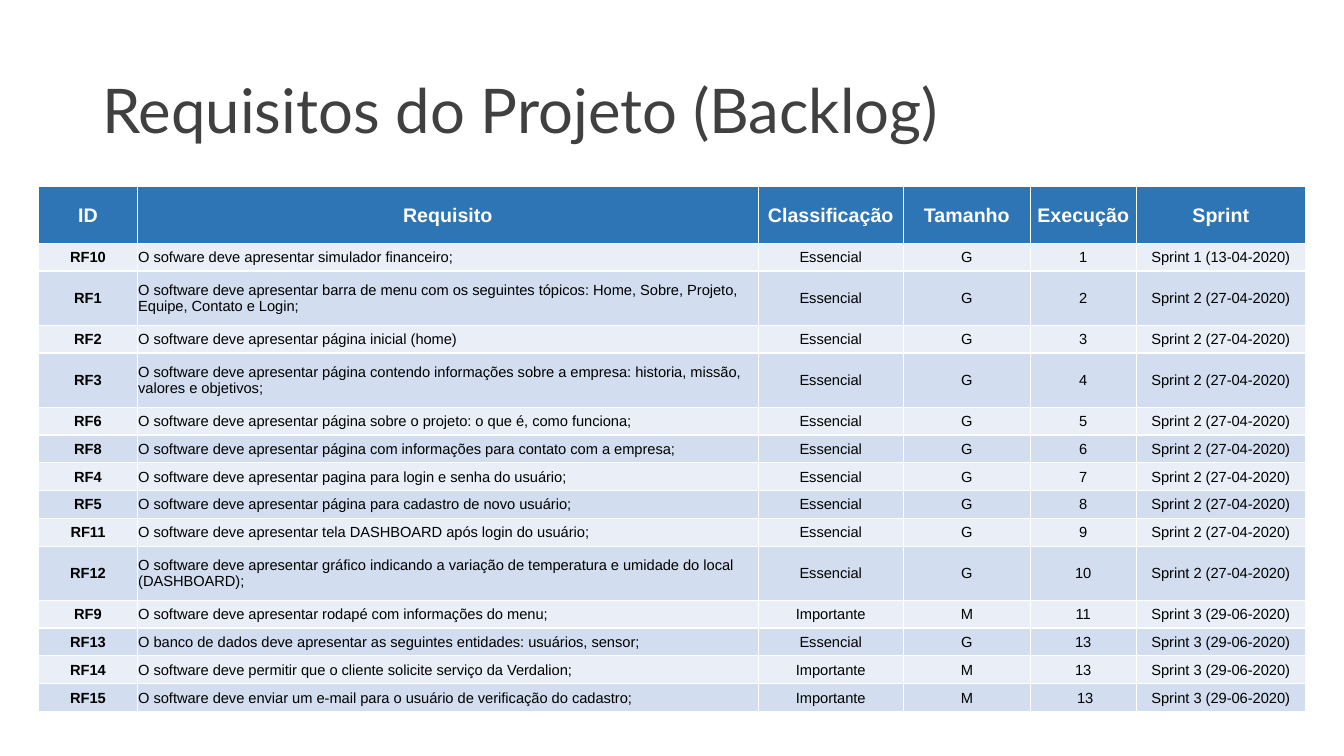
"""Build the project requirements (backlog) slide."""
from lxml import etree
from pptx import Presentation
from pptx.dml.color import RGBColor
from pptx.enum.text import MSO_ANCHOR, PP_ALIGN
from pptx.oxml.ns import qn
from pptx.util import Pt

LEFT, CENTER = PP_ALIGN.LEFT, PP_ALIGN.CENTER
MIDDLE = MSO_ANCHOR.MIDDLE

TITLE = "Requisitos do Projeto (Backlog)"
HEADERS = ("ID", "Requisito", "Classificação", "Tamanho", "Execução", "Sprint")
S1, S2, S3 = "Sprint 1 (13-04-2020)", "Sprint 2 (27-04-2020)", "Sprint 3 (29-06-2020)"
ESSENTIAL, IMPORTANT = ("Essencial", "G"), ("Importante", "M")
REQUIREMENTS = [
    ("RF10", "O sofware deve apresentar simulador financeiro;", *ESSENTIAL, "1", S1),
    ("RF1", "O software deve apresentar barra de menu com os seguintes tópicos: "
            "Home, Sobre, Projeto, Equipe, Contato e Login;", *ESSENTIAL, "2", S2),
    ("RF2", "O software deve apresentar página inicial (home)", *ESSENTIAL, "3", S2),
    ("RF3", "O software deve apresentar página contendo informações sobre a empresa: "
            "historia, missão, valores e objetivos;", *ESSENTIAL, "4", S2),
    ("RF6", "O software deve apresentar página sobre o projeto: o que é, como funciona;",
     *ESSENTIAL, "5", S2),
    ("RF8", "O software deve apresentar página com informações para contato com a empresa;",
     *ESSENTIAL, "6", S2),
    ("RF4", "O software deve apresentar pagina para login e senha do usuário;",
     *ESSENTIAL, "7", S2),
    ("RF5", "O software deve apresentar página para cadastro de novo usuário;",
     *ESSENTIAL, "8", S2),
    ("RF11", "O software deve apresentar tela DASHBOARD após login do usuário;",
     *ESSENTIAL, "9", S2),
    ("RF12", "O software deve apresentar gráfico indicando a variação de temperatura e "
             "umidade do local (DASHBOARD);", *ESSENTIAL, "10", S2),
    ("RF9", "O software deve apresentar rodapé com informações do menu;",
     *IMPORTANT, "11", S3),
    ("RF13", "O banco de dados deve apresentar as seguintes entidades: usuários, sensor;",
     *ESSENTIAL, "13", S3),
    ("RF14", "O software deve permitir que o cliente solicite serviço da Verdalion;",
     *IMPORTANT, "13", S3),
    ("RF15", "O software deve enviar um e-mail para o usuário de verificação do cadastro;",
     *IMPORTANT, " 13", S3),
]
THEME = {
    "title_font": "Lato", "font": "Arial",
    "title_size": 44, "header_size": 14, "body_size": 10.5,
    "title": "404040", "header": "FFFFFF", "body": "000000",
    "header_fill": "2E75B6", "bands": ("EAEFF7", "D2DEEF"),
    "border": "FFFFFF", "border_width": 1,
}
COL_WIDTHS = (70.5, 443.5, 103.7, 90.7, 75.6, 121)
HEADER_H, SINGLE_H, DOUBLE_H = 40.6, 19.85, 38.7
LINE_CHARS = 90


def write(tf, text, *, font, size, color, bold=False, align=LEFT, spacing=1):
    p = tf.paragraphs[0]
    p.alignment, p.line_spacing = align, spacing
    r = p.add_run()
    r.text = text
    r.font.name, r.font.size, r.font.bold = font, Pt(size), bold
    r.font.color.rgb = RGBColor.from_string(color)


def paint(cell, fill):
    cell.fill.solid()
    cell.fill.fore_color.rgb = RGBColor.from_string(fill)
    tc_pr = cell._tc.get_or_add_tcPr()
    for i, side in enumerate(("lnL", "lnR", "lnT", "lnB")):
        ln = etree.Element(qn(f"a:{side}"), w=str(Pt(THEME["border_width"])))
        solid = etree.SubElement(ln, qn("a:solidFill"))
        etree.SubElement(solid, qn("a:srgbClr"), val=THEME["border"])
        tc_pr.insert(i, ln)


def add_title(s):
    tf = s.shapes.add_textbox(Pt(66), Pt(28.8), Pt(828), Pt(104.4)).text_frame
    tf.word_wrap, tf.vertical_anchor = True, MIDDLE
    write(tf, TITLE, font=THEME["title_font"], size=THEME["title_size"],
          color=THEME["title"], spacing=0.9)


def add_backlog(s):
    rows = [HEADERS, *REQUIREMENTS]
    heights = [HEADER_H] + [DOUBLE_H if len(row[1]) > LINE_CHARS else SINGLE_H
                            for row in REQUIREMENTS]
    table = s.shapes.add_table(len(rows), len(HEADERS), Pt(27.6), Pt(133.2),
                               Pt(sum(COL_WIDTHS)), Pt(sum(heights))).table
    for column, width in zip(table.columns, COL_WIDTHS):
        column.width = Pt(width)
    for i, (row, height) in enumerate(zip(rows, heights)):
        table.rows[i].height = Pt(height)
        kind = "body" if i else "header"
        fill = THEME["bands"][(i - 1) % 2] if i else THEME["header_fill"]
        for j, text in enumerate(row):
            cell = table.cell(i, j)
            cell.vertical_anchor = MIDDLE
            cell.margin_left = cell.margin_right = cell.margin_top = Pt(0.6)
            cell.margin_bottom = 0
            paint(cell, fill)
            write(cell.text_frame, text, font=THEME["font"], size=THEME[f"{kind}_size"],
                  color=THEME[kind], bold=i == 0 or j == 0,
                  align=LEFT if i and j == 1 else CENTER)


def main():
    prs = Presentation()
    prs.slide_width, prs.slide_height = Pt(960), Pt(540)
    s = prs.slides.add_slide(prs.slide_layouts[6])
    add_title(s)
    add_backlog(s)
    prs.save("out.pptx")


if __name__ == "__main__":
    main()
